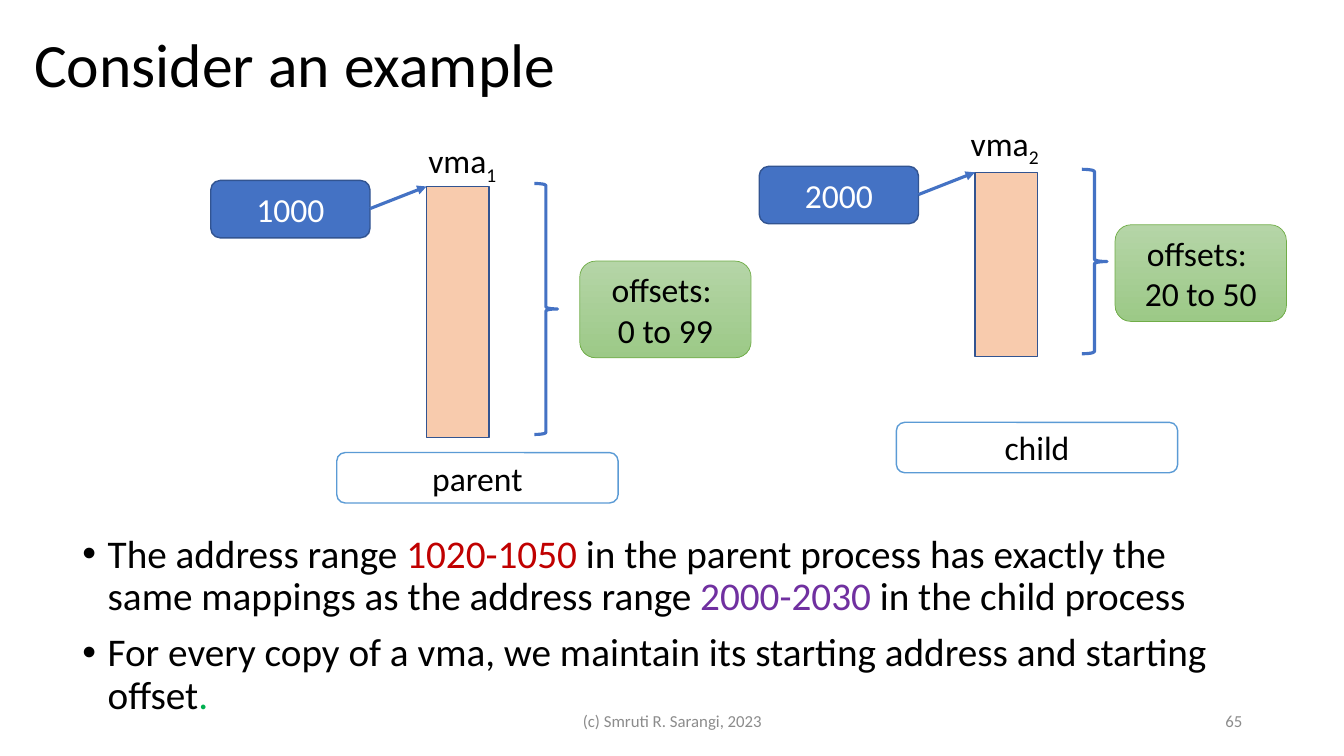
from dataclasses import dataclass

from lxml import etree
from pptx import Presentation
from pptx.dml.color import RGBColor
from pptx.enum import shapes, text
from pptx.oxml import ns
from pptx.util import Inches, Pt


@dataclass(frozen=True)
class Theme:
    font: str = "Calibri"
    title: int = 44
    body: int = 28
    label: int = 24
    footer: int = 12
    black: str = "000000"
    white: str = "FFFFFF"
    grey: str = "8C8C8C"
    blue: str = "4472C4"
    navy: str = "325491"
    sky: str = "5B9BD5"
    peach: str = "F8CBAD"
    green: str = "70AD47"
    green_top: str = "B5D5A7"
    green_bottom: str = "9CC987"
    red: str = "C00000"
    purple: str = "7030A0"
    bright_green: str = "00B050"


THEME = Theme()
KIND = shapes.MSO_SHAPE
ALIGN = text.PP_ALIGN
MIDDLE = text.MSO_ANCHOR.MIDDLE


def rgb(colour):
    return RGBColor.from_string(colour)


def apply(target, values):
    for name, value in values.items():
        setattr(target, name, value)


def add_span(para, words, size, colour):
    span = para.add_run()
    span.text = words
    apply(span.font, {"name": THEME.font, "size": Pt(size)})
    span.font.color.rgb = rgb(colour)
    return span


def write_lines(box, lines, size, colour, **format_values):
    """Write one plain paragraph per line."""
    frame = box.text_frame
    for index, line in enumerate(lines):
        para = frame.add_paragraph() if index else frame.paragraphs[0]
        apply(para, format_values)
        add_span(para, line, size, colour)


def add_text_box(page, place, **frame_values):
    box = page.shapes.add_textbox(*map(Inches, place))
    apply(box.text_frame, {"word_wrap": True, **frame_values})
    return box


def add_outlined(page, kind, place, line, width, fill=None):
    shape = page.shapes.add_shape(kind, *map(Inches, place))
    shape.shadow.inherit = False
    if fill:
        shape.fill.solid()
        shape.fill.fore_color.rgb = rgb(fill)
    else:
        shape.fill.background()
    shape.line.color.rgb = rgb(line)
    shape.line.width = Pt(width)
    return shape


def add_label(page, place, lines, line, width, fill, colour):
    """Rounded box with centred text."""
    box = add_outlined(page, KIND.ROUNDED_RECTANGLE, place, line, width, fill)
    apply(box.text_frame, {"word_wrap": True, "vertical_anchor": MIDDLE})
    write_lines(box, lines, THEME.label, colour, alignment=ALIGN.CENTER)
    return box


def add_arrow(page, start, end):
    arrow = page.shapes.add_connector(
        shapes.MSO_CONNECTOR.STRAIGHT, *map(Inches, (*start, *end)))
    arrow.line.color.rgb = rgb(THEME.blue)
    arrow.line.width = Pt(2.25)
    etree.SubElement(arrow.line._get_or_add_ln(), ns.qn("a:tailEnd"), type="triangle")
    etree.SubElement(arrow._element.spPr, ns.qn("a:effectLst"))


def add_vma_name(page, left, top, number):
    box = add_text_box(page, (left, top, 0.9, 0.5), word_wrap=False,
                       auto_size=text.MSO_AUTO_SIZE.SHAPE_TO_FIT_TEXT)
    para = box.text_frame.paragraphs[0]
    add_span(para, "vma", THEME.label, THEME.black)
    subscript = add_span(para, number, THEME.label, THEME.black)
    subscript._r.get_or_add_rPr().set("baseline", "-25000")


def add_offsets(page, left, top, extent):
    box = add_label(page, (left, top, 1.7, 0.96), ["offsets: ", extent],
                    THEME.green, 0.5, THEME.white, THEME.black)
    box.fill.gradient()
    box.fill.gradient_angle = 270
    colours = (THEME.green_top, THEME.green_bottom)
    for stop, colour, position in zip(box.fill.gradient_stops, colours, (0, 1)):
        stop.color.rgb = rgb(colour)
        stop.position = position


def add_process(page, left, top, height, number, address, name_at,
                brace, offsets, caption):
    """One memory area with its start address, offsets and process name."""
    add_outlined(page, KIND.RECTANGLE, (left, top, 0.62, height),
                 THEME.navy, 1, THEME.peach)
    add_vma_name(page, *name_at, number)

    # Start address, pointing at the top corner of the area
    address_left, address_top = left - 2.14, top - 0.06
    add_label(page, (address_left, address_top, 1.58, 0.57), [address],
              THEME.navy, 1, THEME.blue, THEME.white)
    add_arrow(page, (address_left + 1.58, address_top + 0.28), (left, top))

    # Extent of the area
    brace_left, brace_width = brace
    add_outlined(page, KIND.RIGHT_BRACE,
                 (brace_left, top - 0.03, brace_width, height), THEME.blue, 2.25)
    add_offsets(page, *offsets)

    # Process name
    caption_left, caption_top, name = caption
    add_label(page, (caption_left, caption_top, 2.79, 0.5), [name],
              THEME.sky, 1, THEME.white, THEME.black)


def add_bullets(page, place, items):
    frame = add_text_box(page, place).text_frame
    for index, spans in enumerate(items):
        para = frame.add_paragraph() if index else frame.paragraphs[0]
        props = para._p.get_or_add_pPr()
        props.set("marL", str(Inches(0.25)))
        props.set("indent", str(-Inches(0.25)))
        etree.SubElement(props, ns.qn("a:buFont"), typeface="Arial")
        etree.SubElement(props, ns.qn("a:buChar"), char="•")
        apply(para, {"line_spacing": 0.9, "space_before": Pt(10 if index else 0)})
        for words, colour in spans:
            add_span(para, words, THEME.body, colour)


def main():
    deck = Presentation()
    apply(deck, {"slide_width": Inches(13.33), "slide_height": Inches(7.5)})
    page = deck.slides.add_slide(deck.slide_layouts[6])

    # Title
    title = add_text_box(page, (0.24, -0.06, 11.5, 1.45), vertical_anchor=MIDDLE)
    write_lines(title, ["Consider an example"], THEME.title, THEME.black,
                line_spacing=0.9)

    # Parent and child memory areas
    add_process(page, 4.23, 1.85, 2.49, "1", "1000", (4.15, 1.34),
                (5.3, 0.23), (5.75, 2.59, "0 to 99"), (3.34, 4.49, "parent"))
    add_process(page, 9.67, 1.71, 1.83, "2", "2000", (9.53, 1.17),
                (10.73, 0.25), (11.06, 2.23, "20 to 50"), (8.89, 4.19, "child"))

    # Explanation
    add_bullets(page, (0.72, 5.25, 11.5, 2.09), [
        [("The address range", THEME.black),
         (" 1020-1050 ", THEME.red),
         ("in the parent process has exactly the same mappings as the "
          "address range ", THEME.black),
         ("2000-2030", THEME.purple),
         (" in the child process", THEME.black)],
        [("For every copy of a vma, we maintain its starting address and "
          "starting offset", THEME.black),
         (".", THEME.bright_green)],
    ])

    # Footer
    for left, width, words, side in ((4.42, 4.5, "(c) Smruti R. Sarangi, 2023", ALIGN.CENTER),
                                     (9.42, 3, "65", ALIGN.RIGHT)):
        footer = add_text_box(page, (left, 6.95, width, 0.4), vertical_anchor=MIDDLE)
        write_lines(footer, [words], THEME.footer, THEME.grey, alignment=side)

    deck.save("out.pptx")


if __name__ == "__main__":
    main()
